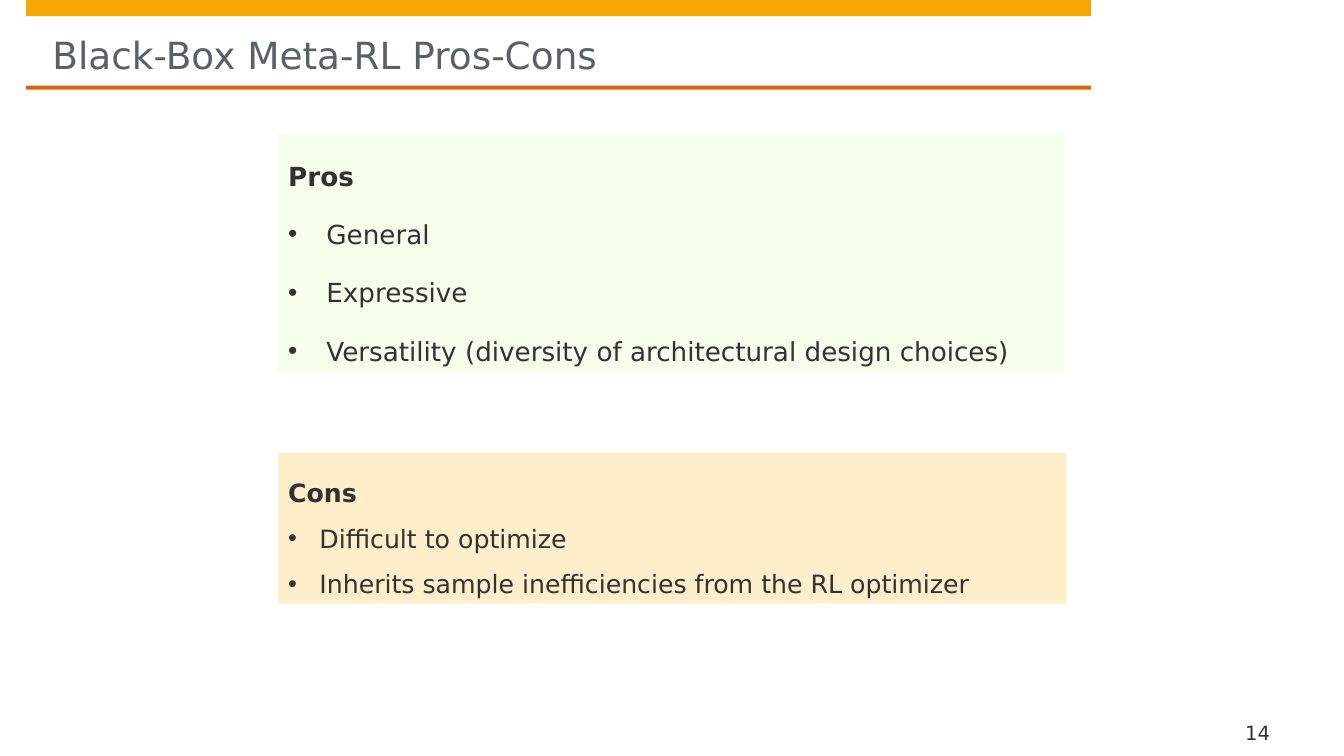
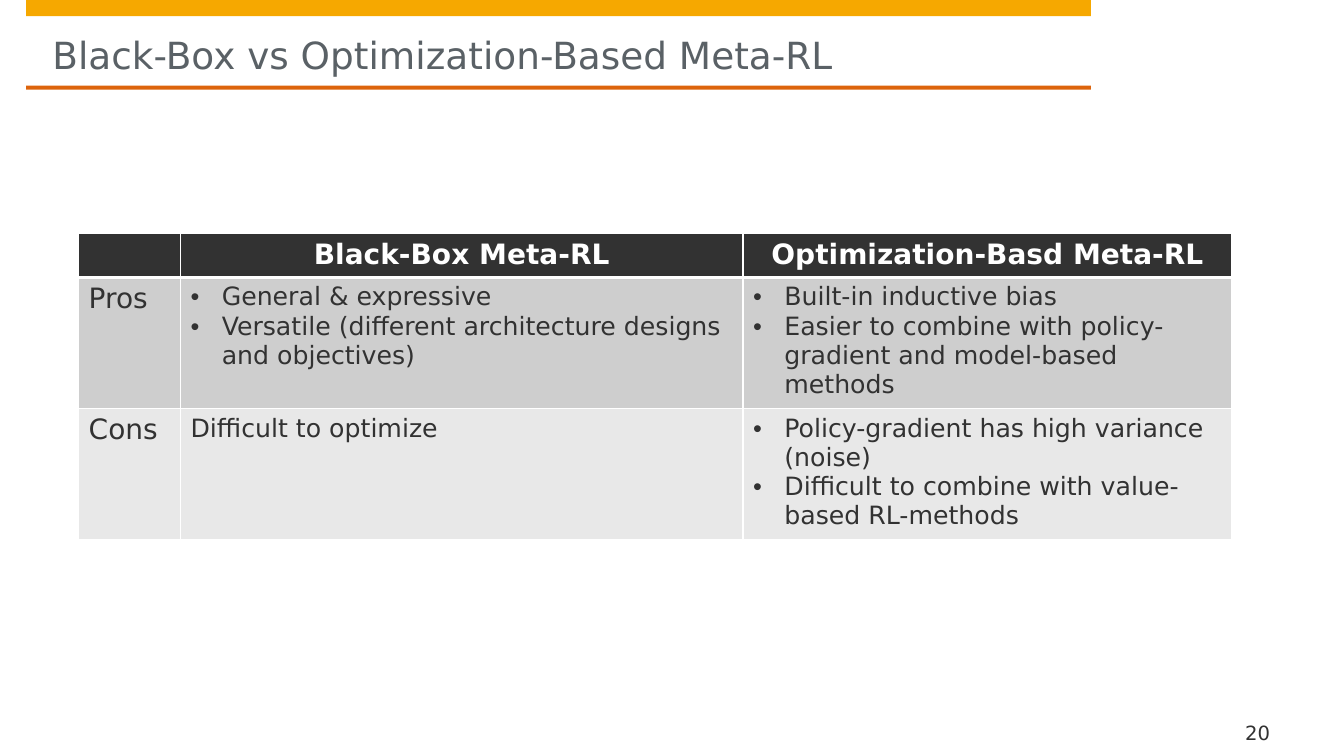
"""Build two slides comparing the pros and cons of meta-RL approaches."""
from lxml.etree import SubElement
from pptx import Presentation
from pptx.dml.color import RGBColor
from pptx.enum.shapes import MSO_SHAPE as Shape
from pptx.enum.text import MSO_ANCHOR as Anchor, PP_ALIGN as Align
from pptx.oxml.ns import qn
from pptx.util import Inches, Pt

FONT = "DejaVu Sans"
COLOURS = {
    "band": "F6A800", "rule": "DD640C", "title": "5A6166", "text": "323232",
    "white": "FFFFFF", "pros": "DEFDBB", "cons": "FFEECA",
    "odd_row": "CECECE", "even_row": "E8E8E8",
}
BAND_LEFT, BAND_WIDTH = 0.26, 10.56

PROS_CONS_TITLE, PROS_CONS_NUMBER = "Black-Box Meta-RL Pros-Cons", "14"
PANELS = [
    {"heading": "Pros",
     "items": ["General", "Expressive",
               "Versatility (diversity of architectural design choices)"],
     "box": (2.76, 1.33, 7.8, 2.36), "fill": "pros", "opacity": 30,
     "size": 18.7, "indent": 0.38, "gap": 4},
    {"heading": "Cons",
     "items": ["Difficult to optimize",
               "Inherits sample inefficiencies from the RL optimizer"],
     "box": (2.76, 4.49, 7.82, 1.5), "fill": "cons", "opacity": 100,
     "size": 18, "indent": 0.31, "gap": 0},
]

VERSUS_TITLE, VERSUS_NUMBER = "Black-Box vs Optimization-Based Meta-RL", "20"
TABLE_LEFT, TABLE_TOP = 0.78, 2.32
COLUMN_WIDTHS = [1.01, 5.58, 4.85]
ROW_HEIGHTS = [0.41, 1.26, 1.26]
HEADERS = ["", "Black-Box Meta-RL", "Optimization-Basd Meta-RL"]
ROWS = [
    ("Pros",
     ["General & expressive",
      "Versatile (different architecture designs and objectives)"],
     ["Built-in inductive bias",
      "Easier to combine with policy-gradient and model-based methods"]),
    ("Cons",
     ["Difficult to optimize"],
     ["Policy-gradient has high variance (noise)",
      "Difficult to combine with value-based RL-methods"]),
]


def colour(name):
    return RGBColor.from_string(COLOURS[name])


def write_text(frame, lines, size=18, ink="text", bold=False, align=Align.LEFT,
               indent=0, spacing=None, gap=0):
    """Append lines to a text frame, bulleted when an indent is given."""
    for line in lines:
        first = not frame.text
        paragraph = frame.paragraphs[0] if first else frame.add_paragraph()
        paragraph.alignment = align
        if spacing:
            paragraph.line_spacing = spacing
        if gap:
            paragraph.space_before = Pt(0 if first else gap)
            paragraph.space_after = Pt(gap)
        if indent:
            properties = paragraph._p.get_or_add_pPr()
            properties.set("marL", str(Inches(indent)))
            properties.set("indent", str(-Inches(indent)))
            SubElement(properties, qn("a:buFont"), typeface="Arial")
            SubElement(properties, qn("a:buChar"), char="•")
        run = paragraph.add_run()
        run.text = line
        run.font.name, run.font.size, run.font.bold = FONT, Pt(size), bold
        run.font.color.rgb = colour(ink)


def set_margins(frame, left, top, right, bottom):
    frame.margin_left, frame.margin_top = Inches(left), Inches(top)
    frame.margin_right, frame.margin_bottom = Inches(right), Inches(bottom)


def add_box(slide, box, fill, opacity=100):
    shape = slide.shapes.add_shape(Shape.RECTANGLE, *map(Inches, box))
    shape.shadow.inherit = False
    shape.line.fill.background()
    shape.fill.solid()
    shape.fill.fore_color.rgb = colour(fill)
    if opacity < 100:
        tint = shape._element.spPr.find(f".//{qn('a:srgbClr')}")
        SubElement(tint, qn("a:alpha"), val=str(opacity * 1000))
    return shape


def add_label(slide, box, text, margins, anchor=Anchor.TOP, **style):
    frame = slide.shapes.add_textbox(*map(Inches, box)).text_frame
    frame.word_wrap = True
    frame.vertical_anchor = anchor
    set_margins(frame, *margins)
    write_text(frame, [text], **style)


def add_slide(presentation, title, number):
    slide = presentation.slides.add_slide(presentation.slide_layouts[6])
    add_box(slide, (BAND_LEFT, 0, BAND_WIDTH, 0.16), "band")
    add_box(slide, (BAND_LEFT, 0.85, BAND_WIDTH, 0.04), "rule")
    add_label(slide, (0.52, 0.16, 10.03, 0.61), title, (0, 0.16, 0, 0),
              size=26.7, ink="title")
    add_label(slide, (12.23, 7.09, 0.84, 0.29), number, (0.12, 0, 0, 0),
              anchor=Anchor.BOTTOM, size=14)
    return slide


def add_panel(slide, panel):
    shape = add_box(slide, panel["box"], panel["fill"], panel["opacity"])
    frame = shape.text_frame
    frame.word_wrap = True
    frame.vertical_anchor = Anchor.TOP
    set_margins(frame, 0.1, 0.1, 0.1, 0.1)
    style = {"size": panel["size"], "spacing": 1.5, "gap": panel["gap"]}
    write_text(frame, [panel["heading"]], bold=True, **style)
    write_text(frame, panel["items"], indent=panel["indent"], **style)


def format_cell(cell, fill, top=1, bottom=1):
    properties = cell._tc.get_or_add_tcPr()
    for side, width in {"L": 1, "R": 1, "T": top, "B": bottom}.items():
        line = SubElement(properties, qn(f"a:ln{side}"), w=str(Pt(width)))
        solid = SubElement(line, qn("a:solidFill"))
        SubElement(solid, qn("a:srgbClr"), val=COLOURS["white"])
    cell.fill.solid()
    cell.fill.fore_color.rgb = colour(fill)


def add_comparison(slide):
    table = slide.shapes.add_table(
        len(ROW_HEIGHTS), len(COLUMN_WIDTHS), Inches(TABLE_LEFT), Inches(TABLE_TOP),
        Inches(sum(COLUMN_WIDTHS)), Inches(sum(ROW_HEIGHTS))).table
    for column, width in zip(table.columns, COLUMN_WIDTHS):
        column.width = Inches(width)
    for row, height in zip(table.rows, ROW_HEIGHTS):
        row.height = Inches(height)
    for index, header in enumerate(HEADERS):
        cell = table.cell(0, index)
        format_cell(cell, "text", bottom=3)
        if header:
            write_text(cell.text_frame, [header], size=20, ink="white", bold=True,
                       align=Align.CENTER)
    for row, (label, *entries) in enumerate(ROWS, start=1):
        for column in range(len(COLUMN_WIDTHS)):
            format_cell(table.cell(row, column), "odd_row" if row % 2 else "even_row",
                        top=3 if row == 1 else 1)
        write_text(table.cell(row, 0).text_frame, [label], size=20)
        for column, items in enumerate(entries, start=1):
            write_text(table.cell(row, column).text_frame, items,
                       indent=0.31 if len(items) > 1 else 0)


def main():
    presentation = Presentation()
    presentation.slide_width, presentation.slide_height = Inches(13.33), Inches(7.5)
    slide = add_slide(presentation, PROS_CONS_TITLE, PROS_CONS_NUMBER)
    for panel in PANELS:
        add_panel(slide, panel)
    add_comparison(add_slide(presentation, VERSUS_TITLE, VERSUS_NUMBER))
    presentation.save("out.pptx")


if __name__ == "__main__":
    main()
